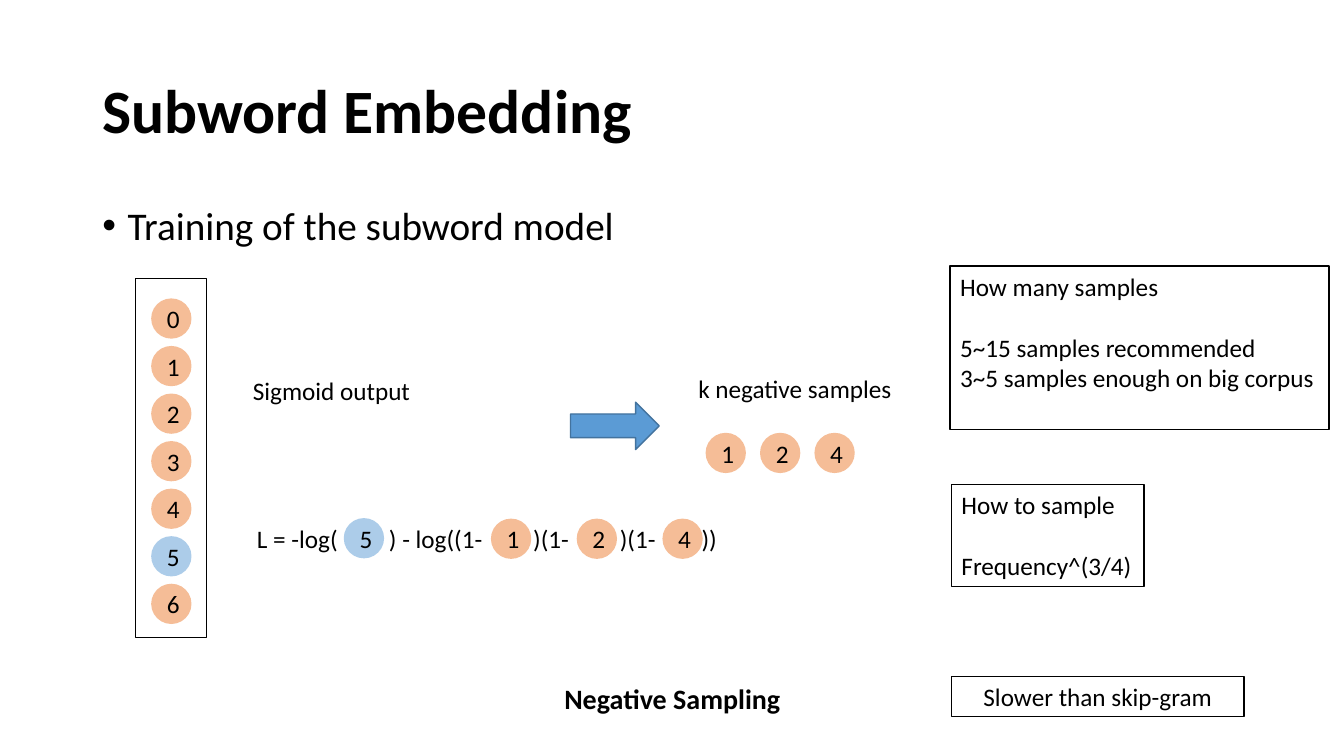
from dataclasses import dataclass
from typing import Optional

from lxml.etree import SubElement
from pptx import Presentation
from pptx.dml.color import RGBColor
from pptx.enum.shapes import MSO_SHAPE as Preset
from pptx.enum.text import MSO_ANCHOR as Anchor, PP_ALIGN as Align
from pptx.oxml.ns import qn
from pptx.util import Emu, Inches, Pt

SLIDE_WIDTH = Inches(13.33)
SLIDE_HEIGHT = Inches(7.5)
FONT = "Calibri"
BLACK = RGBColor(0x00, 0x00, 0x00)
WHITE = RGBColor(0xFF, 0xFF, 0xFF)
ORANGE = RGBColor(0xED, 0x7D, 0x31)
BLUE = RGBColor(0x5B, 0x9B, 0xD5)
DARK_BLUE = RGBColor(0x43, 0x73, 0x9E)

TOKEN_WIDTH, TOKEN_HEIGHT = 3, 5.33
TARGET_TOKEN = 5
NEGATIVE_TOKENS = (1, 2, 4)
PARAGRAPH_GAP = Pt(22)
FORMULA = "L = -log(\t) - log((1-\t)(1-\t)(1-\t))"
FORMULA_TABS = (1.31, 2.74, 3.6, 4.41)


@dataclass(frozen=True)
class Area:
    """Left, top, width and height in percent of the slide."""
    left: float
    top: float
    width: float
    height: float

    def lengths(self) -> tuple[Emu, Emu, Emu, Emu]:
        return (
            Emu(int(SLIDE_WIDTH * self.left / 100)),
            Emu(int(SLIDE_HEIGHT * self.top / 100)),
            Emu(int(SLIDE_WIDTH * self.width / 100)),
            Emu(int(SLIDE_HEIGHT * self.height / 100)),
        )


@dataclass(frozen=True)
class Label:
    area: Area
    text: str
    size: int = 18
    bold: bool = False
    align: Align = Align.LEFT
    anchor: Anchor = Anchor.TOP
    line_spacing: float = 1.0
    boxed: bool = False


@dataclass(frozen=True)
class Token:
    number: int
    left: float
    top: float


TITLE = Label(Area(6.88, 5.33, 86.25, 19.33), "Subword Embedding", 44, True,
              anchor=Anchor.MIDDLE, line_spacing=0.9)
TOPIC = Label(Area(6.88, 26.67, 86.25, 63.47), "Training of the subword model", 28,
              line_spacing=0.9)
LOSS = Label(Area(18.38, 68.53, 44.78, 5.33), FORMULA)
LABELS = (
    Label(Area(18.08, 48.93, 13.35, 5.33), "Sigmoid output"),
    Label(Area(51.22, 48.67, 16.05, 5.33), "k negative samples"),
    Label(Area(37.28, 89.47, 25.5, 5.87), "Negative Sampling", 20, True, Align.CENTER),
    Label(Area(70.8, 89.47, 21.75, 5.33), "Slower than skip-gram",
          align=Align.CENTER, boxed=True),
)
NOTES = (
    Label(Area(70.8, 64.13, 14.33, 13.47), "How to sample\nFrequency^(3/4)", boxed=True),
    Label(Area(70.7, 35.2, 28.2, 21.6),
          "How many samples\n5~15 samples recommended\n3~5 samples enough on big corpus",
          boxed=True),
)
OUTPUT_FRAME = Area(10.12, 36.8, 5.25, 47.6)
ARROW = Area(42.45, 53.2, 6.6, 6.27)
OUTPUT_TOKENS = [Token(number, 11.25, 39.47 + 6.29 * number) for number in range(7)]
SAMPLE_TOKENS = [Token(number, 52.5 + 4.05 * index, 57.25)
                 for index, number in enumerate(NEGATIVE_TOKENS)]
LOSS_TOKENS = [Token(TARGET_TOKEN, 25.58, 68.53)] + [
    Token(number, 36.53 + 6.38 * index, 68.6)
    for index, number in enumerate(NEGATIVE_TOKENS)]


def draw_shape(slide, preset: Preset, area: Area, fill: Optional[RGBColor] = None,
               line: Optional[RGBColor] = None, line_width: float = 1):
    shape = slide.shapes.add_shape(preset, *area.lengths())
    shape.shadow.inherit = False
    if fill is None:
        shape.fill.background()
    else:
        shape.fill.solid()
        shape.fill.fore_color.rgb = fill
    if line is None:
        shape.line.fill.background()
    else:
        shape.line.color.rgb = line
        shape.line.width = Pt(line_width)
    return shape


def format_runs(paragraph, size: int, bold: bool = False) -> None:
    for run in paragraph.runs:
        run.font.name = FONT
        run.font.size = Pt(size)
        run.font.bold = bold
        run.font.color.rgb = BLACK


def draw_label(slide, label: Label):
    if label.boxed:
        shape = draw_shape(slide, Preset.RECTANGLE, label.area, WHITE, BLACK)
    else:
        shape = slide.shapes.add_textbox(*label.area.lengths())
    text_frame = shape.text_frame
    text_frame.word_wrap = True
    text_frame.vertical_anchor = label.anchor
    text_frame.text = label.text
    for paragraph in text_frame.paragraphs:
        paragraph.alignment = label.align
        paragraph.line_spacing = label.line_spacing
        format_runs(paragraph, label.size, label.bold)
    return shape


def draw_topic(slide) -> None:
    paragraph = draw_label(slide, TOPIC).text_frame.paragraphs[0]
    properties = paragraph._p.get_or_add_pPr()
    properties.set("marL", str(Inches(0.25)))
    properties.set("indent", str(-Inches(0.25)))
    SubElement(properties, qn("a:buFont"), typeface="Arial")
    SubElement(properties, qn("a:buChar"), char="•")


def draw_note(slide, label: Label) -> None:
    shape = draw_label(slide, label)
    shape.text_frame.paragraphs[1].space_before = PARAGRAPH_GAP


def draw_loss(slide) -> None:
    paragraph = draw_label(slide, LOSS).text_frame.paragraphs[0]
    tabs = SubElement(paragraph._p.get_or_add_pPr(), qn("a:tabLst"))
    for position in FORMULA_TABS:
        SubElement(tabs, qn("a:tab"), pos=str(Inches(position)), algn="l")


def draw_token(slide, token: Token) -> None:
    color = BLUE if token.number == TARGET_TOKEN else ORANGE
    area = Area(token.left, token.top, TOKEN_WIDTH, TOKEN_HEIGHT)
    shape = draw_shape(slide, Preset.OVAL, area, color)
    fill_color = shape._element.spPr.find(f"{qn('a:solidFill')}/{qn('a:srgbClr')}")
    SubElement(fill_color, qn("a:alpha"), val="50000")
    shape.text_frame.text = str(token.number)
    shape.text_frame.vertical_anchor = Anchor.MIDDLE
    paragraph = shape.text_frame.paragraphs[0]
    paragraph.alignment = Align.CENTER
    format_runs(paragraph, 18)


def main() -> None:
    presentation = Presentation()
    presentation.slide_width = SLIDE_WIDTH
    presentation.slide_height = SLIDE_HEIGHT
    slide = presentation.slides.add_slide(presentation.slide_layouts[6])
    draw_label(slide, TITLE)
    draw_topic(slide)
    draw_shape(slide, Preset.RECTANGLE, OUTPUT_FRAME, line=BLACK, line_width=0.75)
    draw_shape(slide, Preset.RIGHT_ARROW, ARROW, BLUE, DARK_BLUE)
    for token in OUTPUT_TOKENS + SAMPLE_TOKENS + LOSS_TOKENS:
        draw_token(slide, token)
    for note in NOTES:
        draw_note(slide, note)
    draw_loss(slide)
    for label in LABELS:
        draw_label(slide, label)
    presentation.save("out.pptx")


if __name__ == "__main__":
    main()
